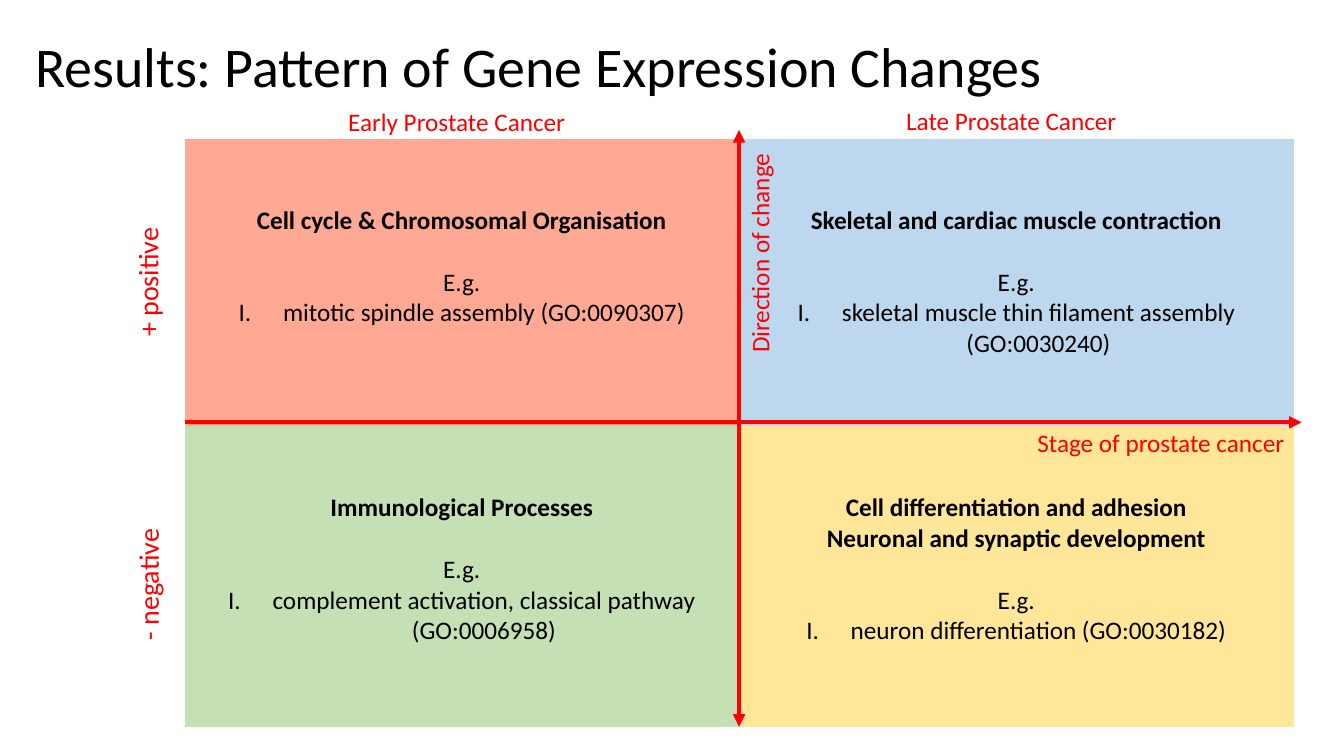
from lxml import etree
from pptx import Presentation
from pptx import util as u
from pptx.dml import color
from pptx.enum import shapes, text
from pptx.oxml import ns

FONT = "Calibri"
RED = "FF0000"
BLACK = "000000"
NO_STYLE = "{2D5ABB26-0587-4C30-8999-92F81FD0307C}"
CENTER = text.PP_ALIGN.CENTER
LEFT = text.PP_ALIGN.LEFT

TABLE_LEFT, TABLE_TOP = 1.83, 1.38
COLUMN_WIDTH = 5.5
ROW_HEIGHTS = [2.85, 2.98]
AXIS_X, AXIS_Y = TABLE_LEFT + COLUMN_WIDTH, 4.19

QUADRANTS = [
    [
        ("FFA893", ["Cell cycle & Chromosomal Organisation"],
         "mitotic spindle assembly (GO:0090307)"),
        ("BDD7EE", ["Skeletal and cardiac muscle contraction"],
         "skeletal muscle thin filament assembly (GO:0030240)"),
    ],
    [
        ("C5E0B4", ["Immunological Processes"],
         "complement activation, classical pathway (GO:0006958)"),
        ("FFE699", ["Cell differentiation and adhesion", "Neuronal and synaptic development"],
         "neuron differentiation (GO:0030182)"),
    ],
]


def rgb(value):
    return color.RGBColor.from_string(value)


def write(para, words, size=18, hue=BLACK, bold=False, align=CENTER, before=0, spacing=None):
    para.alignment = align
    para.space_before = u.Pt(before)
    para.line_spacing = spacing
    span = para.add_run()
    span.text = words
    span.font.name = FONT
    span.font.size = u.Pt(size)
    span.font.bold = bold
    span.font.color.rgb = rgb(hue)


def add_label(page, words, left, top, width, height, rotation=0, **style):
    box = page.shapes.add_textbox(*map(u.Inches, (left, top, width, height)))
    box.rotation = rotation
    box.text_frame.word_wrap = True
    box.text_frame.vertical_anchor = text.MSO_ANCHOR.MIDDLE
    write(box.text_frame.paragraphs[0], words, **style)


def add_arrow(page, *ends):
    arrow = page.shapes.add_connector(shapes.MSO_CONNECTOR.STRAIGHT, *map(u.Inches, ends))
    arrow.line.color.rgb = rgb(RED)
    arrow.line.width = u.Pt(3)
    etree.SubElement(arrow.line._get_or_add_ln(), ns.qn("a:tailEnd"), type="triangle")
    etree.SubElement(arrow._element.spPr, ns.qn("a:effectLst"))


def number_roman(para):
    properties = para._p.get_or_add_pPr()
    indent = u.Inches(0.44)
    properties.set("marL", str(indent))
    properties.set("indent", str(-indent))
    etree.SubElement(properties, ns.qn("a:buFont"), typeface="+mj-lt")
    etree.SubElement(properties, ns.qn("a:buAutoNum"), type="romanUcPeriod")


def fill_quadrant(cell, hue, headings, example):
    cell.fill.solid()
    cell.fill.fore_color.rgb = rgb(hue)
    cell.margin_top = u.Inches(0.66)
    frame = cell.text_frame
    for index, heading in enumerate(headings):
        para = frame.add_paragraph() if index else frame.paragraphs[0]
        write(para, heading, bold=True)
    write(frame.add_paragraph(), "E.g.", before=22)
    item = frame.add_paragraph()
    write(item, example)
    number_roman(item)


def add_quadrants(page):
    size = (2 * COLUMN_WIDTH, sum(ROW_HEIGHTS))
    table = page.shapes.add_table(2, 2, *map(u.Inches, (TABLE_LEFT, TABLE_TOP, *size))).table
    table.first_row = table.horz_banding = False
    table._tbl.tblPr.find(ns.qn("a:tableStyleId")).text = NO_STYLE
    for row, (height, quadrants) in enumerate(zip(ROW_HEIGHTS, QUADRANTS)):
        table.rows[row].height = u.Inches(height)
        for column, quadrant in enumerate(quadrants):
            fill_quadrant(table.cell(row, column), *quadrant)


def main():
    deck = Presentation()
    deck.slide_width, deck.slide_height = u.Inches(13.33), u.Inches(7.5)
    page = deck.slides.add_slide(deck.slide_layouts[6])

    add_label(page, "Results: Pattern of Gene Expression Changes", 0.25, 0.2, 11, 0.97,
              size=40, align=LEFT, spacing=0.9)
    add_quadrants(page)

    add_arrow(page, TABLE_LEFT, AXIS_Y, 12.91, AXIS_Y)
    add_arrow(page, AXIS_X, AXIS_Y, AXIS_X, 1.29)
    add_arrow(page, AXIS_X, AXIS_Y, AXIS_X, 7.21)

    add_label(page, "Stage of prostate cancer", 10.19, AXIS_Y, 3.1, 0.4, hue=RED, align=LEFT)
    add_label(page, "Direction of change", 6.29, 2.16, 2.48, 0.4, 270, hue=RED, align=LEFT)
    add_label(page, "+ positive", 0.07, 2.58, 2.78, 0.44, 270, size=20, hue=RED)
    add_label(page, "- negative", -0.14, 5.58, 3.21, 0.44, 270, size=20, hue=RED)
    add_label(page, "Early Prostate Cancer", 1.76, 1, 5.54, 0.4, hue=RED)
    add_label(page, "Late Prostate Cancer", 7.26, 0.99, 5.54, 0.4, hue=RED)

    deck.save("out.pptx")


if __name__ == "__main__":
    main()
